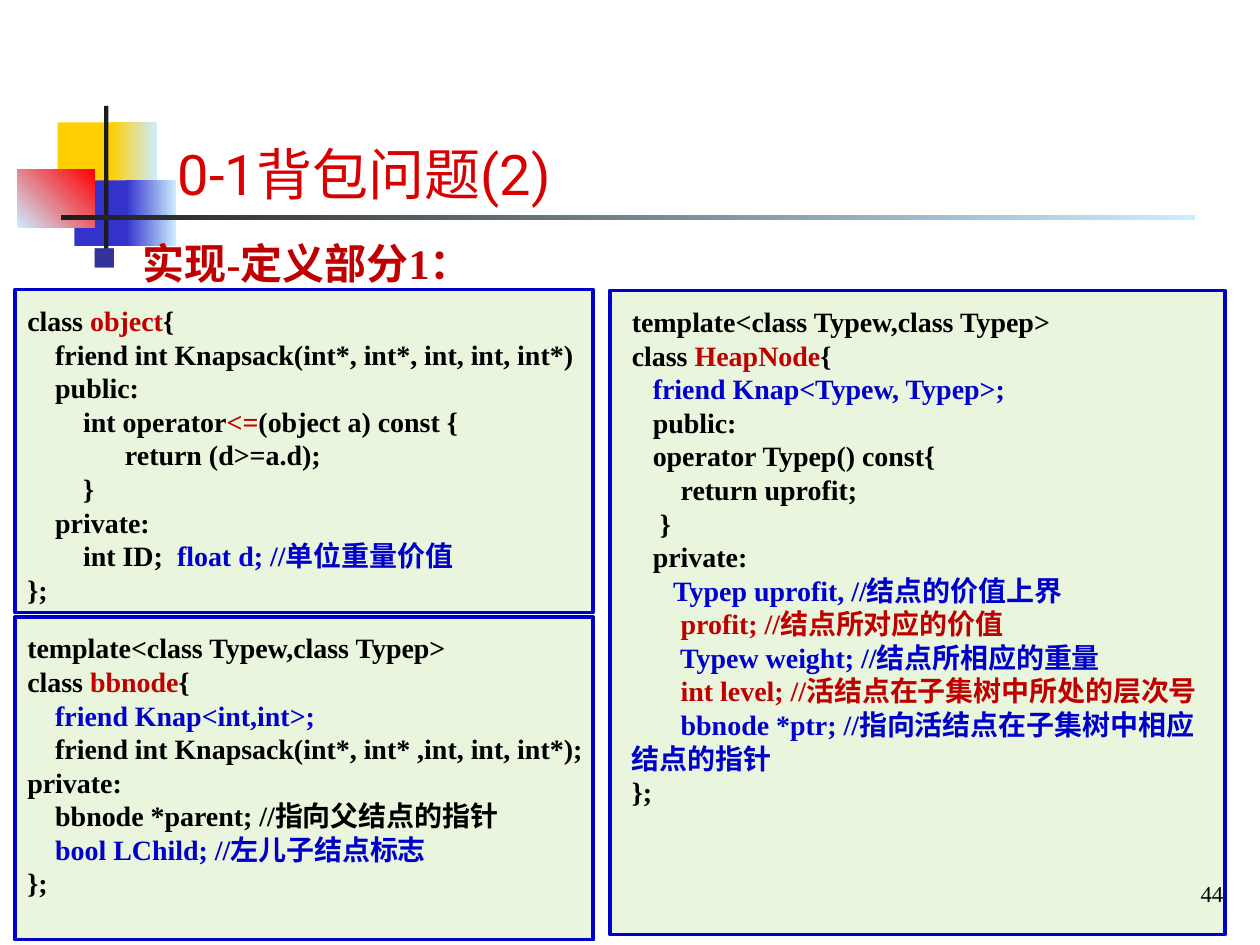
from lxml import etree
from pptx import Presentation
from pptx.dml.color import RGBColor
from pptx.enum import shapes, text
from pptx.oxml import ns
from pptx.util import Pt

SERIF = "Times New Roman"
BLACK, RED, BLUE = "000000", "C00000", "0000CC"
INK, PALE, INDIGO = "1C1C1C", "CCECFF", "3333CC"
LINE_RATIO = 1.2

OBJECT_CODE = [
    [("class ", BLACK), ("object", RED), ("{", BLACK)],
    [("    friend int Knapsack(int*, int*, int, int, int*)", BLACK)],
    [("    public:", BLACK)],
    [("        int operator", BLACK), ("<=", RED), ("(object a) const {", BLACK)],
    [("              return (d>=a.d);", BLACK)],
    [("        }", BLACK)],
    [("    private:", BLACK)],
    [("        int ID;  ", BLACK), ("float d; //单位重量价值", BLUE)],
    [("};", BLACK)],
]
BBNODE_CODE = [
    [("template<class Typew,class Typep>", BLACK)],
    [("class ", BLACK), ("bbnode", RED), ("{", BLACK)],
    [("    friend Knap<int,int>;", BLUE)],
    [("    friend int Knapsack(int*, int* ,int, int, int*);", BLACK)],
    [("private:", BLACK)],
    [("    bbnode *parent; //指向父结点的指针", BLACK)],
    [("    ", BLACK), ("bool LChild; //左儿子结点标志", BLUE)],
    [("};", BLACK)],
]
HEAPNODE_CODE = [
    [("template<class Typew,class Typep>", BLACK)],
    [("class ", BLACK), ("HeapNode", RED), ("{", BLACK)],
    [("   friend Knap<Typew, Typep>;", BLUE)],
    [("   public:", BLACK)],
    [("   operator Typep() const{", BLACK)],
    [("       return uprofit;", BLACK)],
    [("    }", BLACK)],
    [("   private:", BLACK)],
    [("      Typep uprofit, //结点的价值上界", BLUE)],
    [("       profit; //结点所对应的价值", RED)],
    [("       Typew weight; //结点所相应的重量", BLUE)],
    [("       int level; //活结点在子集树中所处的层次号", RED)],
    [("       bbnode *ptr; //指向活结点在子集树中相应结点的指针", BLUE)],
    [("};", BLACK)],
]


def color(value):
    return RGBColor.from_string(value)


def add_rectangle(slide, left, top, width, height):
    shape = slide.shapes.add_shape(shapes.MSO_SHAPE.RECTANGLE,
                                   Pt(left), Pt(top), Pt(width), Pt(height))
    shape.shadow.inherit = False
    shape.line.fill.background()
    return shape


def add_solid(slide, box, fill):
    shape = add_rectangle(slide, *box)
    shape.fill.solid()
    shape.fill.fore_color.rgb = color(fill)
    return shape


def add_gradient(slide, box, start, end, angle=0):
    fill = add_rectangle(slide, *box).fill
    fill.gradient()
    fill.gradient_angle = angle
    for stop, value in zip(fill.gradient_stops, (start, end)):
        stop.color.rgb = color(value)


def add_text_frame(slide, left, top, width, height):
    frame = slide.shapes.add_textbox(Pt(left), Pt(top), Pt(width), Pt(height)).text_frame
    frame.word_wrap = True
    return frame


def add_run(paragraph, words, size, value, font=SERIF, bold=False):
    run = paragraph.add_run()
    run.text = words
    run.font.name = font
    run.font.size = Pt(size)
    run.font.bold = bold
    run.font.color.rgb = color(value)


def add_ornament(slide, left, top):
    """Coloured squares, upright bar and fading rule beside the title."""
    def at(x, y, width, height):
        return left + x, top + y, width, height

    add_solid(slide, at(23, 9.5, 34.5, 37.5), "FFCF01")
    add_gradient(slide, at(53.5, 9.5, 26, 37.5), "FFCF01", PALE)
    add_solid(slide, at(32.5, 42.5, 33, 37.5), INDIGO)
    add_gradient(slide, at(62, 42.5, 28.5, 37.5), INDIGO, PALE)
    add_gradient(slide, at(0, 36.5, 44, 33), PALE, "FF0000", 45)
    add_solid(slide, at(49.5, 0, 2.5, 83), INK)
    add_gradient(slide, at(25, 62.5, 648, 2.5), INK, PALE)


def set_title(slide, left, top, width, height):
    title = slide.shapes.title
    title.left, title.top, title.width, title.height = map(Pt, (left, top, width, height))
    title.text_frame.vertical_anchor = text.MSO_ANCHOR.BOTTOM
    paragraph = title.text_frame.paragraphs[0]
    paragraph.alignment = text.PP_ALIGN.LEFT
    add_run(paragraph, "0-1背包问题(2)", 32, "D80000", "Roboto")


def add_heading(slide, left, top, width, height):
    paragraph = add_text_frame(slide, left, top, width, height).paragraphs[0]
    paragraph.line_spacing = Pt(24 * LINE_RATIO)
    properties = paragraph._p.get_or_add_pPr()
    properties.set("marL", str(Pt(29)))
    properties.set("indent", str(Pt(-29)))
    bullet_color = etree.SubElement(properties, ns.qn("a:buClr"))
    etree.SubElement(bullet_color, ns.qn("a:srgbClr"), val="333399")
    etree.SubElement(properties, ns.qn("a:buSzPct"), val="80000")
    etree.SubElement(properties, ns.qn("a:buChar"), char="■")
    add_run(paragraph, "实现-定义部分1：", 24, RED, bold=True)


def add_code_panel(slide, left, top, width, height, code, inset=0):
    panel = add_solid(slide, (left, top, width, height), "92D050")
    tint = panel.fill._xPr.find(".//" + ns.qn("a:srgbClr"))
    etree.SubElement(tint, ns.qn("a:alpha"), val="20000")
    panel.line.color.rgb = color(BLUE)
    panel.line.width = Pt(2)

    frame = add_text_frame(slide, left + inset, top + 4.5, width + 3.5 - inset, height - 4.5)
    for index, line in enumerate(code):
        paragraph = frame.add_paragraph() if index else frame.paragraphs[0]
        paragraph.line_spacing = Pt(16 * LINE_RATIO)
        for words, value in line:
            add_run(paragraph, words, 16, value, bold=True)


def add_page_number(slide, left, top, width, height):
    frame = add_text_frame(slide, left, top, width, height)
    frame.vertical_anchor = text.MSO_ANCHOR.MIDDLE
    frame.margin_left = frame.margin_right = Pt(6.5)
    paragraph = frame.paragraphs[0]
    paragraph.alignment = text.PP_ALIGN.RIGHT
    add_run(paragraph, "44", 13, BLACK)


def main():
    presentation = Presentation()
    presentation.slide_width, presentation.slide_height = Pt(720), Pt(540)
    slide = presentation.slides.add_slide(presentation.slide_layouts[5])
    add_ornament(slide, 10, 60.5)
    set_title(slide, 94.5, 43, 606, 78.5)
    add_heading(slide, 45.5, 132, 643, 36)
    for top, code in ((165.5, OBJECT_CODE), (352.5, BBNODE_CODE)):
        add_code_panel(slide, 8.5, top, 330.5, 184.5, code)
    add_code_panel(slide, 348.5, 166, 351.5, 368, HEAPNODE_CODE, inset=5.5)
    add_page_number(slide, 568, 497, 137.5, 26.5)
    presentation.save("out.pptx")


if __name__ == "__main__":
    main()
